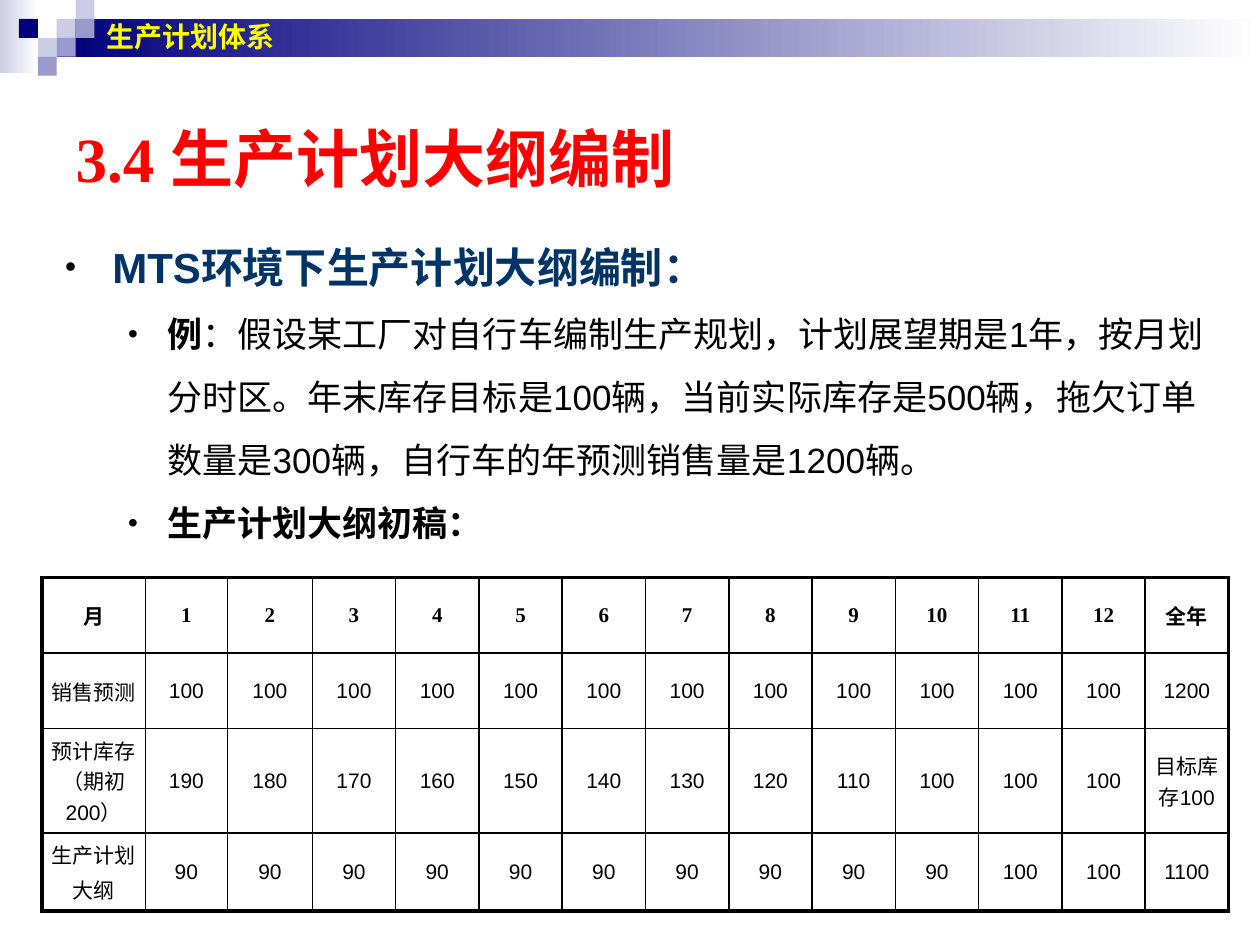
import lxml.etree
import pptx
import pptx.dml.color
import pptx.enum.shapes
import pptx.enum.text
import pptx.oxml
import pptx.oxml.ns
import pptx.util

Pt = pptx.util.Pt
MIDDLE = pptx.enum.text.MSO_ANCHOR.MIDDLE
LEFT = pptx.enum.text.PP_ALIGN.LEFT
CENTER = pptx.enum.text.PP_ALIGN.CENTER

NAVY, LILAC, VIOLET = "00007D", "CCCCE6", "9999CC"
WHITE, BLACK, RED, YELLOW, BLUE = "FFFFFF", "000000", "FF0000", "FFFF00", "003366"

UNIT = 10.8  # side of one square in the corner mosaic
MOSAIC = [(3, 1, LILAC), (4, 0, LILAC), (4, 1, VIOLET), (2, 2, LILAC),
          (1, 1, NAVY), (3, 2, VIOLET), (2, 3, VIOLET)]

COLUMN_WIDTHS = [59, 47, 48.5] + [47.6] * 11
ROW_HEIGHTS = [43.2, 43.2, 59.6, 44.6]
ROWS = [
    ["月", *range(1, 13), "全年"],
    ["销售预测"] + [100] * 12 + [1200],
    ["预计库存（期初200）", *range(190, 90, -10), 100, 100, "目标库存100"],
    ["生产计划\n大纲"] + [90] * 10 + [100, 100, 1100],
]


def rgb(color):
    return pptx.dml.color.RGBColor.from_string(color)


def set_font(p, name, size, color, bold=False):
    p.font.name = name
    p.font.size = Pt(size)
    p.font.color.rgb = rgb(color)
    p.font.bold = bold


def place(s, left, top, width, height):
    s.left, s.top, s.width, s.height = Pt(left), Pt(top), Pt(width), Pt(height)


def add_rect(slide, left, top, width, height, color, fade_to=None):
    """Add a borderless rectangle, fading to a second colour on the right if given."""
    s = slide.shapes.add_shape(pptx.enum.shapes.MSO_SHAPE.RECTANGLE,
                               Pt(left), Pt(top), Pt(width), Pt(height))
    s.shadow.inherit = False
    s.line.fill.background()
    if fade_to:
        s.fill.gradient()
        s.fill.gradient_angle = 0
        for stop, c in zip(s.fill.gradient_stops, (color, fade_to)):
            stop.color.rgb = rgb(c)
    else:
        s.fill.solid()
        s.fill.fore_color.rgb = rgb(color)


def add_banner(slide):
    add_rect(slide, 0, 0, 22, 42, LILAC, WHITE)
    add_rect(slide, 3 * UNIT, UNIT, 720 - 3 * UNIT, 2 * UNIT, NAVY, WHITE)
    for column, row, color in MOSAIC:
        add_rect(slide, column * UNIT, row * UNIT, UNIT, UNIT, color)


def add_banner_text(slide, text):
    s = slide.shapes.add_textbox(Pt(54), Pt(0), Pt(636), Pt(42))
    tf = s.text_frame
    tf.word_wrap = True
    tf.vertical_anchor = MIDDLE
    p = tf.paragraphs[0]
    p.text = text
    set_font(p, "Arial", 16, YELLOW, True)


def fill_title(title, text):
    place(title, 36, 36, 648, 108)
    title.text_frame.vertical_anchor = MIDDLE
    p = title.text_frame.paragraphs[0]
    p.text = text
    p.alignment = LEFT
    set_font(p, "Times New Roman", 36, RED, True)


def set_bullet(p, margin, hanging, percent):
    p_pr = p._p.get_or_add_pPr()
    p_pr.set("marL", str(Pt(margin)))
    p_pr.set("indent", str(-Pt(hanging)))
    for xml in (f'<a:buClr %s><a:srgbClr val="{BLACK}"/></a:buClr>',
                f'<a:buSzPct %s val="{percent * 1000}"/>',
                '<a:buFont %s typeface="Arial"/>',
                '<a:buChar %s char="•"/>'):
        p_pr.append(pptx.oxml.parse_xml(xml % pptx.oxml.ns.nsdecls("a")))


def add_item(tf, lead, rest="", level=0):
    """Add a bulleted paragraph with a bold lead and an optional plain rest."""
    p = tf.add_paragraph() if tf.text else tf.paragraphs[0]
    p.level = level
    p.line_spacing = 1.5
    p.space_before = Pt(0)
    if level:
        set_bullet(p, 58.5, 22.5, 80)
        set_font(p, "Arial", 20, BLACK, not rest)
    else:
        set_bullet(p, 27, 27, 75)
        set_font(p, "Arial", 24, BLUE, True)
    r = p.add_run()
    r.text = lead
    if rest:
        r.font.bold = True
        p.add_run().text = rest


def fill_body(body):
    place(body, 30, 120, 672, 402)
    tf = body.text_frame
    add_item(tf, "MTS环境下生产计划大纲编制：")
    add_item(tf, "例", "：假设某工厂对自行车编制生产规划，计划展望期是1年，按月划分时区。"
             "年末库存目标是100辆，当前实际库存是500辆，拖欠订单数量是300辆，"
             "自行车的年预测销售量是1200辆。", level=1)
    add_item(tf, "生产计划大纲初稿：", level=1)


def set_borders(cell, widths):
    tc_pr = cell._tc.get_or_add_tcPr()
    for side, width in widths.items():
        tc_pr.append(pptx.oxml.parse_xml(
            f'<a:ln{side} {pptx.oxml.ns.nsdecls("a")} w="{Pt(width)}"><a:solidFill>'
            f'<a:srgbClr val="{BLACK}"/></a:solidFill></a:ln{side}>'))


def fill_cell(cell, text, header, tight):
    cell.vertical_anchor = MIDDLE
    cell.margin_left = cell.margin_right = Pt(0 if tight else 7.2)
    cell.margin_top = cell.margin_bottom = Pt(3.6)
    cell.fill.background()
    cell.text_frame.text = str(text)
    for i, p in enumerate(cell.text_frame.paragraphs):
        p.alignment = CENTER
        p.space_before = Pt(2.4 if i else 0)
        set_font(p, "Times New Roman" if header else "Arial", 12, BLACK, header)


def add_plan_table(slide):
    last_row, last_column = len(ROWS) - 1, len(COLUMN_WIDTHS) - 1
    table = slide.shapes.add_table(
        len(ROWS), len(COLUMN_WIDTHS), Pt(24), Pt(330),
        Pt(sum(COLUMN_WIDTHS)), Pt(sum(ROW_HEIGHTS))).table
    table.first_row = table.horz_banding = False
    for column, width in zip(table.columns, COLUMN_WIDTHS):
        column.width = Pt(width)
    for i, values in enumerate(ROWS):
        table.rows[i].height = Pt(ROW_HEIGHTS[i])
        for j, value in enumerate(values):
            cell = table.cell(i, j)
            outer = {"L": j == 0, "R": j == last_column, "T": i == 0, "B": i == last_row}
            set_borders(cell, {side: 2.25 if edge else 1 for side, edge in outer.items()})
            fill_cell(cell, value, i == 0, i > 0 and j in (0, last_column))


def main():
    prs = pptx.Presentation()
    prs.slide_width, prs.slide_height = Pt(720), Pt(540)
    slide = prs.slides.add_slide(prs.slide_layouts[1])
    title, body = slide.placeholders
    add_banner(slide)
    for s in (title, body):  # bring the placeholders in front of the banner
        slide.shapes.element.append(s.element)
    fill_title(title, "3.4 生产计划大纲编制")
    fill_body(body)
    add_banner_text(slide, "生产计划体系")
    add_plan_table(slide)
    prs.save("out.pptx")


if __name__ == "__main__":
    main()
